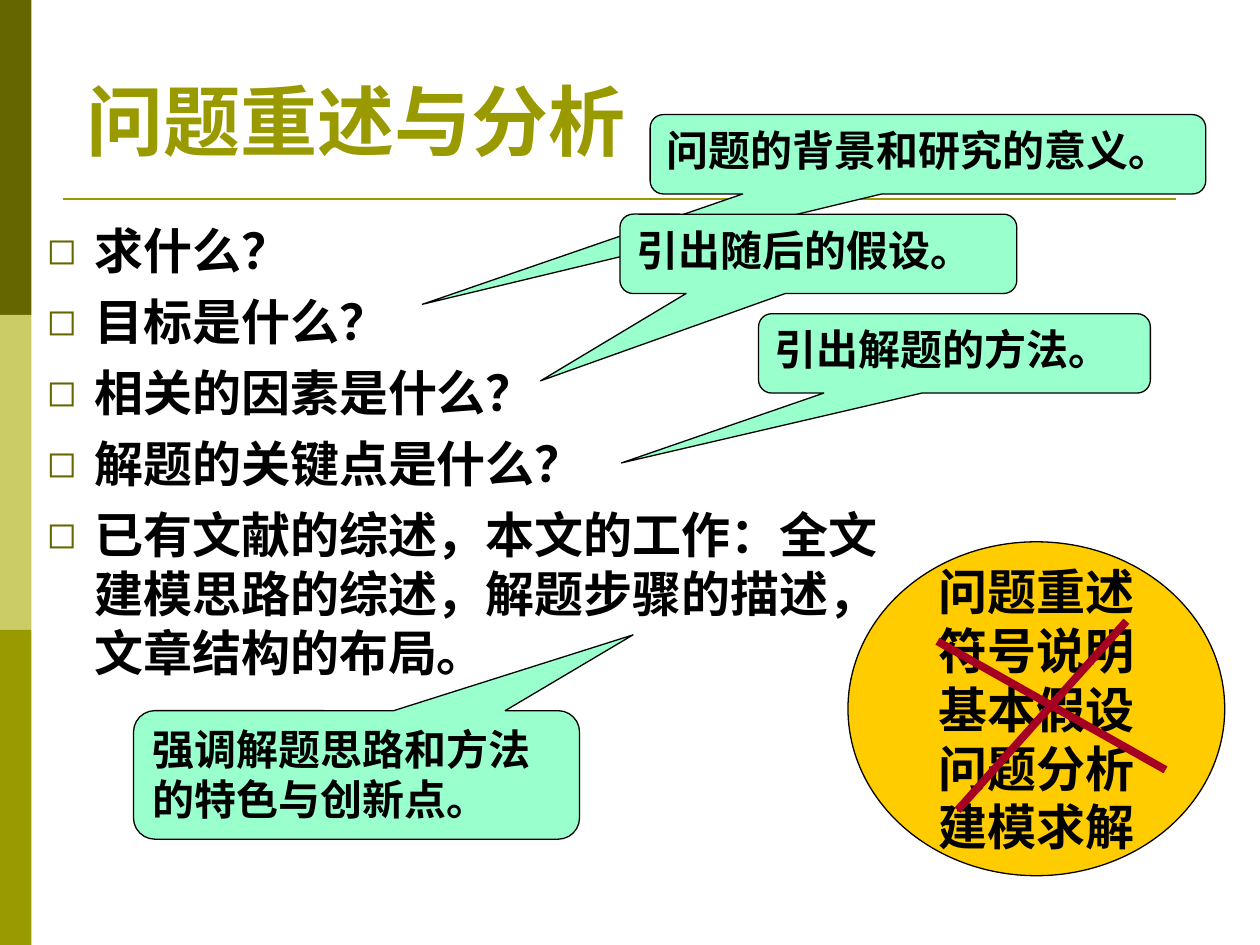
"""Builds the slide on restating and analysing the problem."""
from lxml import etree
from pptx import Presentation
from pptx.dml.color import RGBColor
from pptx.enum.shapes import MSO_CONNECTOR, MSO_SHAPE
from pptx.enum.text import MSO_ANCHOR, MSO_AUTO_SIZE, PP_ALIGN
from pptx.oxml.ns import qn
from pptx.util import Inches, Pt

RECT, OVAL = MSO_SHAPE.RECTANGLE, MSO_SHAPE.OVAL
CALLOUT = MSO_SHAPE.ROUNDED_RECTANGULAR_CALLOUT
STRAIGHT = MSO_CONNECTOR.STRAIGHT
TOP, MIDDLE, BOTTOM = MSO_ANCHOR.TOP, MSO_ANCHOR.MIDDLE, MSO_ANCHOR.BOTTOM
LEFT, CENTER = PP_ALIGN.LEFT, PP_ALIGN.CENTER
NO_FIT = MSO_AUTO_SIZE.NONE

BLACK = RGBColor(0x00, 0x00, 0x00)
WHITE = RGBColor(0xFF, 0xFF, 0xFF)
DARK_OLIVE = RGBColor(0x66, 0x66, 0x00)
OLIVE = RGBColor(0x99, 0x99, 0x00)
PALE_OLIVE = RGBColor(0xCC, 0xCC, 0x66)
MINT = RGBColor(0x99, 0xFF, 0xCC)
AMBER = RGBColor(0xFF, 0xCC, 0x00)
CRIMSON = RGBColor(0xA5, 0x00, 0x21)

SERIF, SANS = "Times New Roman", "DejaVu Sans"

QUESTIONS = [
    "求什么？",
    "目标是什么？",
    "相关的因素是什么？",
    "解题的关键点是什么？",
    "已有文献的综述，本文的工作：全文建模思路的综述，解题步骤的描述，文章结构的布局。",
]
SECTIONS = ["问题重述", "符号说明", "基本假设", "问题分析", "建模求解"]
CALLOUTS = [
    ("问题的背景和研究的意义。", (5.16, 0.91, 4.41, 0.63), (-0.91, 1.89)),
    ("引出随后的假设。", (4.92, 1.7, 3.15, 0.63), (-0.7, 1.6)),
    ("引出解题的方法。", (6.02, 2.49, 3.11, 0.63), (-0.85, 1.38)),
    ("强调解题思路和方法的特色与创新点。", (1.06, 5.64, 3.54, 1.02), (0.62, -1.09)),
]
CROSS = [((7.44, 5.09), (9.25, 6.11)), ((8.94, 4.93), (7.6, 6.43))]


def add_bullet(p):
    """Gives a paragraph a hanging square bullet."""
    pPr = p._p.get_or_add_pPr()
    pPr.set("marL", str(Inches(0.38)))
    pPr.set("indent", str(-Inches(0.38)))
    color = etree.SubElement(pPr, qn("a:buClr"))
    etree.SubElement(color, qn("a:srgbClr"), val=str(DARK_OLIVE))
    etree.SubElement(pPr, qn("a:buSzPct"), val="75000")
    etree.SubElement(pPr, qn("a:buFont"), typeface=SANS)
    etree.SubElement(pPr, qn("a:buChar"), char="◻")


def write(sp, lines, size=24, font=SERIF, color=BLACK, align=LEFT,
          anchor=TOP, wrap=True, space=0, bullet=False):
    """Fills a shape with one bold paragraph per line."""
    tf = sp.text_frame
    tf.auto_size = NO_FIT
    tf.word_wrap = wrap
    tf.vertical_anchor = anchor
    for i, line in enumerate(lines):
        p = tf.add_paragraph() if i else tf.paragraphs[0]
        if bullet:
            add_bullet(p)
        p.alignment = align
        p.space_before = Pt(space if i else 0)
        r = p.add_run()
        r.text = line
        r.font.size = Pt(size)
        r.font.name = font
        r.font.bold = True
        r.font.color.rgb = color


class Deck:
    """Holds the style and the current slide."""

    def __init__(self, prs):
        self.s = prs.slides.add_slide(prs.slide_layouts[1])

    def placeholder(self, index, box, lines, **style):
        sp = self.s.placeholders[index]
        sp.left, sp.top, sp.width, sp.height = map(Inches, box)
        write(sp, lines, **style)
        return sp

    def shape(self, kind, box, fill, outlined=True):
        sp = self.s.shapes.add_shape(kind, *map(Inches, box))
        sp.shadow.inherit = False
        sp.fill.solid()
        sp.fill.fore_color.rgb = fill
        if outlined:
            sp.line.color.rgb = BLACK
            sp.line.width = Pt(0.75)
        else:
            sp.line.fill.background()
        return sp

    def callout(self, text, box, tip):
        sp = self.shape(CALLOUT, box, MINT)
        sp.adjustments[0], sp.adjustments[1] = tip
        write(sp, [text])

    def line(self, start, end, color, width):
        cn = self.s.shapes.add_connector(STRAIGHT, *map(Inches, start + end))
        cn.line.color.rgb = color
        cn.line.width = Pt(width)
        etree.SubElement(cn._element.spPr, qn("a:effectLst"))


def main():
    """Builds and saves the slide."""
    prs = Presentation()
    prs.slide_width, prs.slide_height = Inches(10), Inches(7.5)
    deck = Deck(prs)

    for i, color in enumerate([DARK_OLIVE, PALE_OLIVE, OLIVE]):
        deck.shape(RECT, (0, 2.5 * i, 0.25, 2.5), color, outlined=False)
    deck.line((0.5, 1.58), (9.33, 1.58), OLIVE, 1.5)

    deck.placeholder(0, (0.59, 0.44, 5.21, 0.93), ["问题重述与分析"],
                     size=44, color=OLIVE, anchor=BOTTOM)
    body = deck.placeholder(1, (0.27, 1.7, 6.82, 4.09), QUESTIONS,
                            size=28, font=SANS, space=7, bullet=True)
    body.fill.solid()
    body.fill.fore_color.rgb = WHITE

    for text, box, tip in CALLOUTS:
        deck.callout(text, box, tip)

    oval = deck.shape(OVAL, (6.73, 4.3, 2.99, 2.65), AMBER)
    write(oval, SECTIONS, size=28, align=CENTER, anchor=MIDDLE, wrap=False)
    for start, end in CROSS:
        deck.line(start, end, CRIMSON, 4.5)

    prs.save("out.pptx")


if __name__ == "__main__":
    main()
